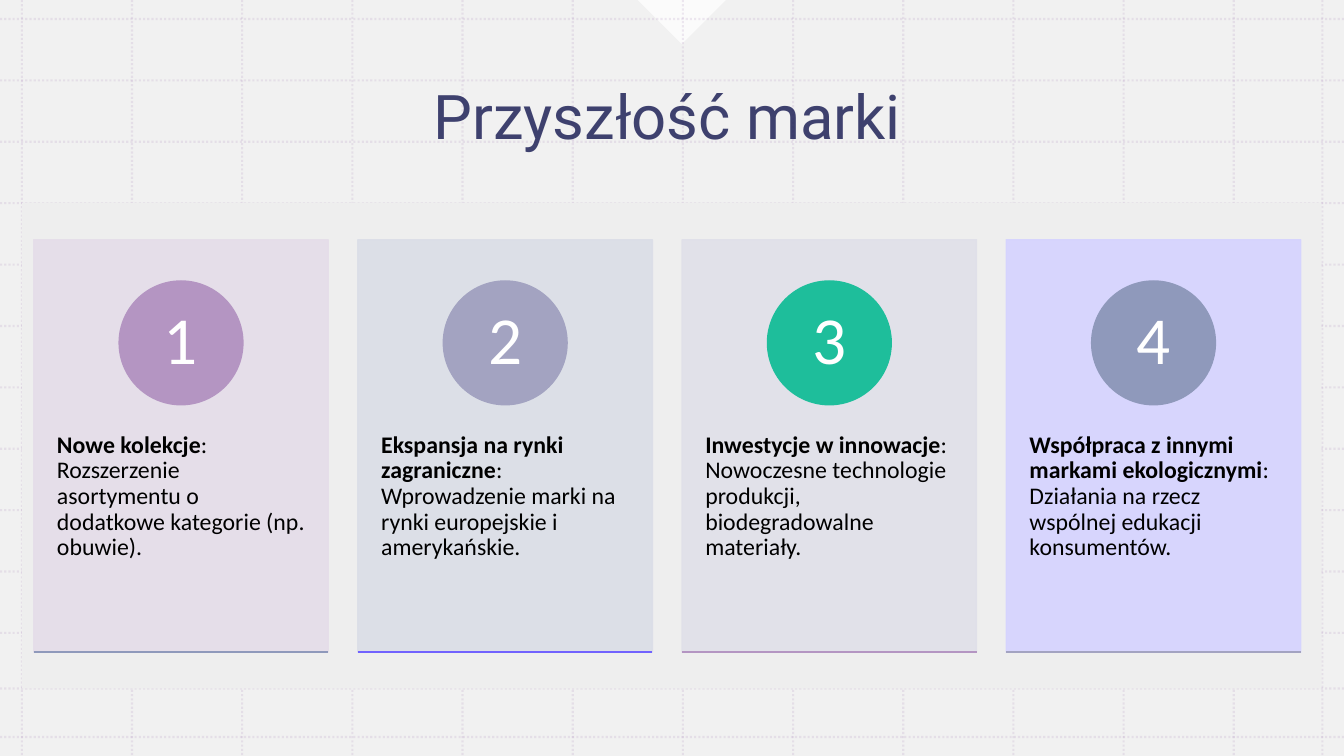
from lxml import etree
from pptx import Presentation
from pptx import util as u
from pptx.dml import color
from pptx.enum import dml, shapes, text
from pptx.oxml import ns

HUES = {
    "white": "FFFFFF", "black": "000000", "mist": "EEEEEE", "navy": "12154E",
    "mauve": "B495C2", "lilac": "A3A3C1", "green": "1EBE9B", "slate": "8F99BB",
    "violet": "7162FE", "rose": "E5DDE9", "ice": "DBDEE7", "ash": "E0E0E9",
    "iris": "D5D3FF",
}
CARDS = [
    ("Nowe kolekcje", ": Rozszerzenie asortymentu o dodatkowe kategorie (np. obuwie).",
     "rose", "mauve", "slate"),
    ("Ekspansja na rynki zagraniczne",
     ": Wprowadzenie marki na rynki europejskie i amerykańskie.",
     "ice", "lilac", "violet"),
    ("Inwestycje w innowacje",
     ": Nowoczesne technologie produkcji, biodegradowalne materiały.",
     "ash", "green", "mauve"),
    ("Współpraca z innymi markami ekologicznymi",
     ": Działania na rzecz wspólnej edukacji konsumentów.",
     "iris", "slate", "lilac"),
]


def put(item, values):
    """Set every attribute in a dict of format values."""
    for name, value in values.items():
        setattr(item, name, value)


def hue(name):
    """Return the named colour."""
    return color.RGBColor.from_string(HUES[name])


def fade(item, share):
    """Make all colours inside an element partly clear."""
    for mark in item.iter(ns.qn("a:srgbClr")):
        etree.SubElement(mark, ns.qn("a:alpha"), val=str(share * 1000))


def form(slide, kind, box, fill, share=100, edge=False):
    """Add a filled shape, with an edge of the same colour if asked."""
    part = slide.shapes.add_shape(kind, *map(u.Pt, box))
    part.shadow.inherit = False
    part.fill.solid()
    part.fill.fore_color.rgb = hue(fill)
    if edge:
        part.line.color.rgb = hue(fill)
        part.line.width = u.Pt(1)
    else:
        part.line.fill.background()
    if share < 100:
        fade(part._element.spPr, share)
    return part


def rule(slide, ends, tint, width):
    """Add a straight line without a shadow."""
    line = slide.shapes.add_connector(shapes.MSO_CONNECTOR.STRAIGHT, *map(u.Pt, ends))
    line.line.color.rgb = hue(tint)
    line.line.width = u.Pt(width)
    etree.SubElement(line._element.spPr, ns.qn("a:effectLst"))
    return line


def write(part, runs, side, frame, font):
    """Write one paragraph of text and bold pairs into a shape."""
    put(part.text_frame, {"word_wrap": True, **frame})
    para = part.text_frame.paragraphs[0]
    put(para, {"alignment": side, "line_spacing": 0.9})
    for words, bold in runs:
        run = para.add_run()
        run.text = words
        put(run.font, {"bold": bold, "name": font["name"], "size": u.Pt(font["size"])})
        run.font.color.rgb = hue(font["tint"])


def grid(slide, box):
    """Draw the pale backdrop, the top notch and the dotted grid."""
    left, top, wide, high = box
    rect = shapes.MSO_SHAPE.RECTANGLE
    form(slide, rect, box, "white")
    form(slide, rect, box, "mist", 80)
    notch = form(slide, shapes.MSO_SHAPE.RIGHT_TRIANGLE,
                 (left + 464.7, top - 22.3, 44.6, 44.6), "white", 75)
    notch.rotation = 315
    cols = [left + 15.6 + 78.7 * i for i in range(12)] + [left + 944.6]
    rows = [top + 13.6 + 43.85 * i for i in range(11)] + [top + 491.8, top + 526.4]
    ends = [(x, top, x, top + high) for x in cols]
    ends += [(left, y, left + wide, y) for y in rows]
    for pair in ends:
        line = rule(slide, pair, "mauve", 1.5)
        line.line.dash_style = dml.MSO_LINE.ROUND_DOT
        fade(line._element.spPr, 20)


def head(slide, box):
    """Write the centred title."""
    part = slide.shapes.add_textbox(*map(u.Pt, box))
    write(part, [("Przyszłość marki", False)], text.PP_ALIGN.CENTER,
          {"vertical_anchor": text.MSO_ANCHOR.MIDDLE},
          {"name": "Roboto", "size": 44, "tint": "navy"})
    fade(part._element.txBody, 80)


def card(slide, box, count, data):
    """Draw one numbered card with its text and base line."""
    left, top, wide, high = box
    title, body, back, disc, base = data
    form(slide, shapes.MSO_SHAPE.RECTANGLE, box, back, 90, True)
    note = slide.shapes.add_textbox(
        *map(u.Pt, (left, top + 111.8, wide, high * 0.6)))
    pad = {"margin_left": 16.6, "margin_right": 16.6,
           "margin_top": 25.9, "margin_bottom": 25.9}
    write(note, [(title, True), (body, False)], text.PP_ALIGN.LEFT,
          {name: u.Pt(size) for name, size in pad.items()},
          {"name": "Calibri", "size": 17, "tint": "black"})
    size = 88.4
    ring = form(slide, shapes.MSO_SHAPE.OVAL,
                (left + (wide - size) / 2, top + 29.5, size, size), disc, edge=True)
    write(ring, [(str(count), False)], text.PP_ALIGN.CENTER,
          {"vertical_anchor": text.MSO_ANCHOR.MIDDLE,
           "margin_top": u.Pt(1), "margin_bottom": u.Pt(1)},
          {"name": "Calibri", "size": 48, "tint": "white"})
    rule(slide, (left, top + high, left + wide, top + high), base, 1)


def deck(slide, box):
    """Draw the panel and its row of cards."""
    left, top, wide, high = box
    form(slide, shapes.MSO_SHAPE.RECTANGLE, box, "mist")
    for i, data in enumerate(CARDS):
        place = (left + 8.3 + 231.55 * i, top + 26.4, 210.4, 294.6)
        card(slide, place, i + 1, data)


def main():
    """Build and save the slide."""
    show = Presentation()
    put(show, {"slide_width": u.Pt(960), "slide_height": u.Pt(540)})
    slide = show.slides.add_slide(show.slide_layouts[6])
    grid(slide, (0, 0, 960, 540))
    deck(slide, (15.8, 144.8, 928.1, 347))
    head(slide, (23.8, 26.6, 905.8, 118.1))
    show.save("out.pptx")


if __name__ == "__main__":
    main()
